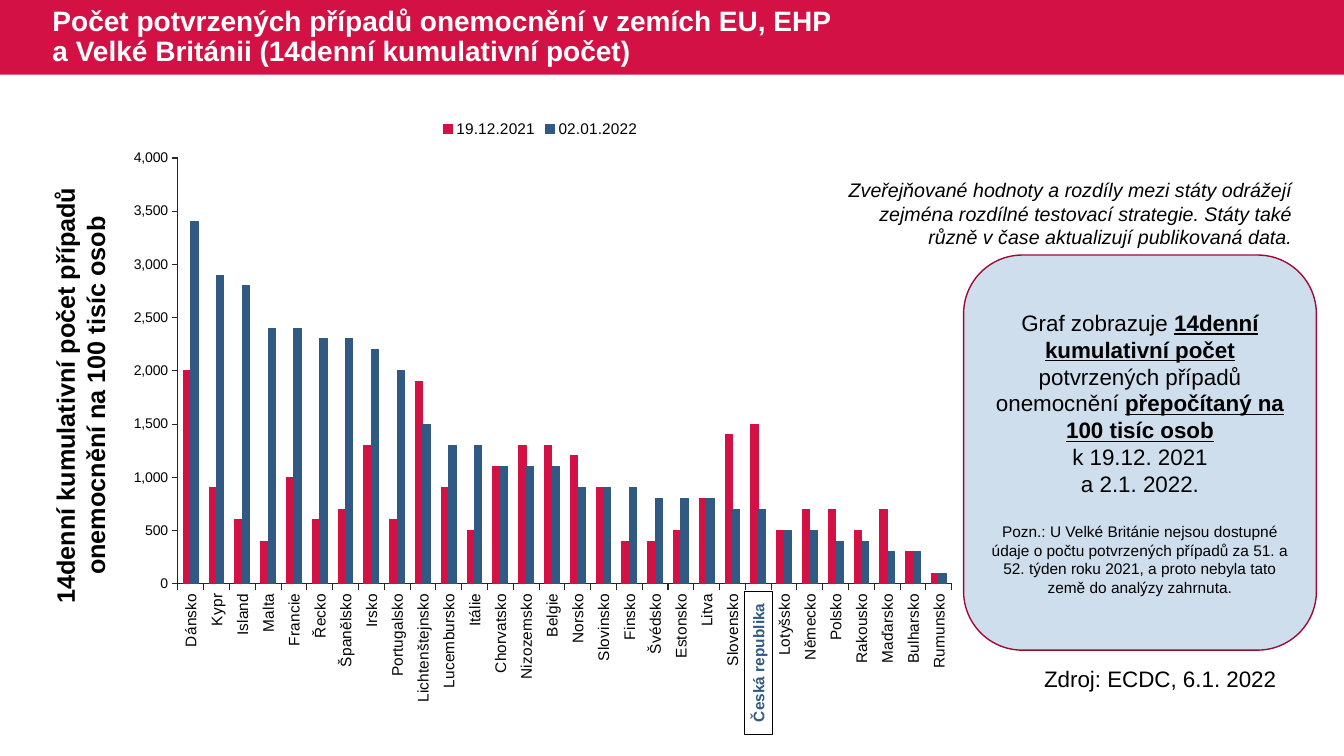
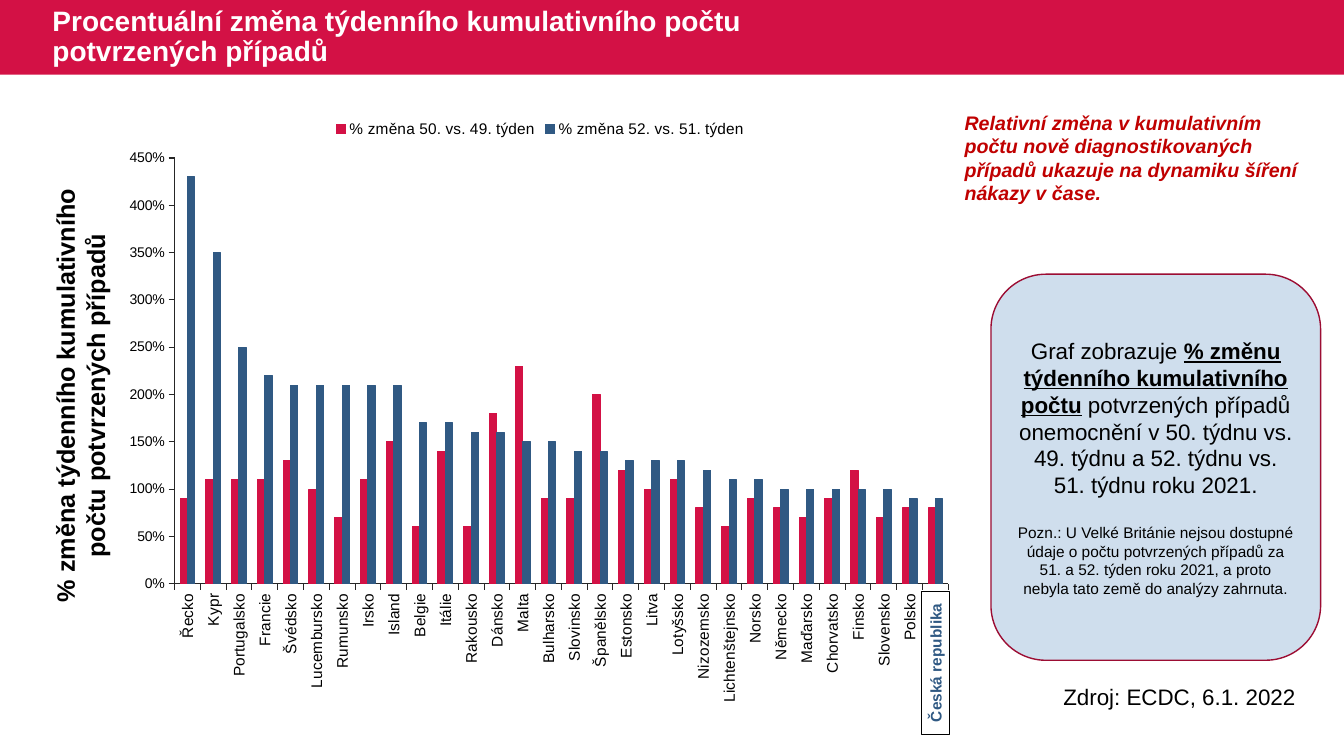
"""Build two slides comparing case counts across European countries."""
from dataclasses import dataclass

from lxml.etree import SubElement
from pptx import Presentation
from pptx.chart.data import CategoryChartData
from pptx.dml.color import RGBColor as Rgb
from pptx.enum.chart import XL_CHART_TYPE as ChartType
from pptx.enum.chart import XL_LEGEND_POSITION as LegendPos
from pptx.enum.chart import XL_TICK_MARK as Tick
from pptx.enum.shapes import MSO_SHAPE as Preset
from pptx.enum.text import MSO_ANCHOR as Anchor
from pptx.enum.text import MSO_AUTO_SIZE as AutoSize
from pptx.enum.text import PP_ALIGN as Align
from pptx.oxml.ns import qn
from pptx.presentation import Presentation as Deck
from pptx.shapes.autoshape import Shape
from pptx.slide import Slide
from pptx.text.text import Font, TextFrame
from pptx.util import Inches, Pt

WIDTH, HEIGHT = Inches(13.33), Inches(7.5)
HIGHLIGHT = "Česká republika"
SOURCE = "Zdroj: ECDC, 6.1. 2022"
PLOT_TOP, PLOT_WIDTH, PLOT_HEIGHT = 8.2, 91.4, 71


@dataclass(frozen=True)
class Theme:
    """Colours and type sizes of the deck."""

    font: str = "Arial"
    crimson: str = "D31145"
    blue: str = "305983"
    panel: str = "CFDEED"
    panel_edge: str = "9C0D33"
    warning: str = "C00000"
    axis: str = "262626"
    chart_text: str = "404040"
    black: str = "000000"
    white: str = "FFFFFF"
    title: int = 20
    axis_title: int = 18
    body: int = 16
    note: int = 14
    small: int = 11
    tick: int = 10


THEME = Theme()


@dataclass(frozen=True)
class Area:
    """Rectangle in percent of the slide's width and height."""

    left: float
    top: float
    width: float
    height: float

    def emu(self) -> tuple[int, int, int, int]:
        """Return left, top, width and height in slide units."""
        return (round(WIDTH * self.left / 100), round(HEIGHT * self.top / 100),
                round(WIDTH * self.width / 100), round(HEIGHT * self.height / 100))


@dataclass(frozen=True)
class Run:
    """Piece of text, optionally bold and underlined."""

    text: str
    strong: bool = False


@dataclass(frozen=True)
class Para:
    """Paragraph with its own type size and space before."""

    runs: tuple[Run, ...]
    size: int = THEME.body
    before: int = 0


@dataclass(frozen=True)
class Series:
    """Named column series with its colour."""

    name: str
    color: str
    values: tuple[float, ...]


@dataclass(frozen=True)
class Comparison:
    """Content of one slide."""

    title: str
    axis_title: str
    countries: tuple[str, ...]
    series: tuple[Series, ...]
    number_format: str
    maximum: float
    step: float
    plot_left: float
    panel: Area
    explanation: tuple[Para, ...]
    source: Area
    remark: str
    remark_area: Area
    remark_color: str
    remark_bold: bool
    remark_align: Align


BAND = Area(0, 0, 100, 9.87)
TITLE = Area(3.15, 0, 61.2, 9.87)
CHART = Area(8.7, 14.4, 63, 79.33)
AXIS_TITLE = Area(-10.95, 47.6, 33.9, 9.47)
BADGE = Area(0, 85.8, 10.65, 3.73)
FOOTNOTE = Para((Run(
    "Pozn.: U Velké Británie nejsou dostupné údaje o počtu potvrzených případů za 51. "
    "a 52. týden roku 2021, a proto nebyla tato země do analýzy zahrnuta."),),
    THEME.small, 18)

COMPARISONS = (
    Comparison(
        "Počet potvrzených případů onemocnění v zemích EU, EHP\n"
        "a Velké Británii (14denní kumulativní počet)",
        "14denní kumulativní počet případů onemocnění na 100 tisíc osob",
        ("Dánsko", "Kypr", "Island", "Malta", "Francie", "Řecko", "Španělsko", "Irsko",
         "Portugalsko", "Lichtenštejnsko", "Lucembursko", "Itálie", "Chorvatsko",
         "Nizozemsko", "Belgie", "Norsko", "Slovinsko", "Finsko", "Švédsko", "Estonsko",
         "Litva", "Slovensko", HIGHLIGHT, "Lotyšsko", "Německo", "Polsko", "Rakousko",
         "Maďarsko", "Bulharsko", "Rumunsko"),
        (Series("19.12.2021", THEME.crimson,
                (2000, 900, 600, 400, 1000, 600, 700, 1300, 600, 1900, 900, 500, 1100, 1300,
                 1300, 1200, 900, 400, 400, 500, 800, 1400, 1500, 500, 700, 700, 500, 700,
                 300, 100)),
         Series("02.01.2022", THEME.blue,
                (3400, 2900, 2800, 2400, 2400, 2300, 2300, 2200, 2000, 1500, 1300, 1300,
                 1100, 1100, 1100, 900, 900, 900, 800, 800, 800, 700, 700, 500, 500, 400,
                 400, 300, 300, 100))),
        "#,##0", 4000, 500, 7.2,
        Area(71.7, 33.73, 26.25, 52.27),
        (Para((Run("Graf zobrazuje "), Run("14denní kumulativní počet ", True),
               Run("potvrzených případů onemocnění "),
               Run("přepočítaný na 100 tisíc osob", True))),
         Para((Run("k 19.12. 2021"),)), Para((Run("a 2.1. 2022."),)), FOOTNOTE),
        Area(76.95, 87.33, 21.5, 4.93),
        "Zveřejňované hodnoty a rozdíly mezi státy odrážejí zejména rozdílné testovací "
        "strategie. Státy také různě v čase aktualizují publikovaná data.",
        Area(61.8, 22.93, 35.1, 10.8), THEME.black, False, Align.RIGHT),
    Comparison(
        "Procentuální změna týdenního kumulativního počtu potvrzených případů",
        "% změna týdenního kumulativního počtu potvrzených případů",
        ("Řecko", "Kypr", "Portugalsko", "Francie", "Švédsko", "Lucembursko", "Rumunsko",
         "Irsko", "Island", "Belgie", "Itálie", "Rakousko", "Dánsko", "Malta", "Bulharsko",
         "Slovinsko", "Španělsko", "Estonsko", "Litva", "Lotyšsko", "Nizozemsko",
         "Lichtenštejnsko", "Norsko", "Německo", "Maďarsko", "Chorvatsko", "Finsko",
         "Slovensko", "Polsko", HIGHLIGHT),
        (Series("% změna 50. vs. 49. týden", THEME.crimson,
                (0.9, 1.1, 1.1, 1.1, 1.3, 1, 0.7, 1.1, 1.5, 0.6, 1.4, 0.6, 1.8, 2.3, 0.9,
                 0.9, 2, 1.2, 1, 1.1, 0.8, 0.6, 0.9, 0.8, 0.7, 0.9, 1.2, 0.7, 0.8, 0.8)),
         Series("% změna 52. vs. 51. týden", THEME.blue,
                (4.3, 3.5, 2.5, 2.2, 2.1, 2.1, 2.1, 2.1, 2.1, 1.7, 1.7, 1.6, 1.6, 1.5, 1.5,
                 1.4, 1.4, 1.3, 1.3, 1.3, 1.2, 1.1, 1.1, 1, 1, 1, 1, 1, 0.9, 0.9))),
        "0%", 4.5, 0.5, 6.8,
        Area(73.73, 36.27, 24.53, 51.07),
        (Para((Run("Graf zobrazuje "), Run("% změnu týdenního kumulativního počtu", True),
               Run(" potvrzených případů onemocnění v 50. týdnu vs. 49. týdnu "
                   "a 52. týdnu vs. 51. týdnu roku 2021."))), FOOTNOTE),
        Area(78.38, 89.73, 21.5, 4.93),
        "Relativní změna v kumulativním počtu nově diagnostikovaných případů ukazuje na "
        "dynamiku šíření nákazy v čase.",
        Area(71.03, 14, 27.53, 13.87), THEME.warning, True, Align.LEFT),
)


def style(font: Font, size: int, color: str, bold: bool = False, italic: bool = False) -> None:
    """Set typeface, size, colour and emphasis."""
    font.name, font.size = THEME.font, Pt(size)
    font.bold, font.italic = bold, italic
    font.color.rgb = Rgb.from_string(color)


def write(frame: TextFrame, paras: tuple[Para, ...], *, color: str = THEME.black,
          bold: bool = False, italic: bool = False, align: Align = Align.LEFT,
          anchor: Anchor = Anchor.TOP, fit: AutoSize = AutoSize.NONE,
          spacing: float = 1.0) -> None:
    """Fill a text frame with formatted paragraphs."""
    frame.word_wrap, frame.auto_size, frame.vertical_anchor = True, fit, anchor
    for index, para in enumerate(paras):
        paragraph = frame.add_paragraph() if index else frame.paragraphs[0]
        paragraph.alignment, paragraph.line_spacing = align, spacing
        paragraph.space_before = Pt(para.before)
        for piece in para.runs:
            for number, line in enumerate(piece.text.split("\n")):
                if number:
                    paragraph.add_line_break()
                run = paragraph.add_run()
                run.text = line
                style(run.font, para.size, color, bold or piece.strong, italic)
                run.font.underline = piece.strong


def add_label(slide: Slide, area: Area, text: str, size: int, rotation: int = 0,
              **text_format) -> None:
    """Add a text box that grows with its text."""
    label = slide.shapes.add_textbox(*area.emu())
    label.rotation = rotation
    write(label.text_frame, (Para((Run(text),), size),),
          fit=AutoSize.SHAPE_TO_FIT_TEXT, **text_format)


def add_block(slide: Slide, preset: Preset, area: Area, fill: str,
              edge: str | None = None) -> Shape:
    """Add a filled shape with an optional outline."""
    block = slide.shapes.add_shape(preset, *area.emu())
    block.shadow.inherit = False
    block.fill.solid()
    block.fill.fore_color.rgb = Rgb.from_string(fill)
    if edge:
        block.line.color.rgb = Rgb.from_string(edge)
        block.line.width = Pt(1)
    else:
        block.line.fill.background()
    return block


def add_columns(slide: Slide, content: Comparison) -> None:
    """Add the clustered column chart."""
    data = CategoryChartData(number_format=content.number_format)
    data.categories = content.countries
    for series in content.series:
        data.add_series(series.name, series.values)
    chart = slide.shapes.add_chart(ChartType.COLUMN_CLUSTERED, *CHART.emu(), data).chart
    chart.has_title = False
    style(chart.font, THEME.tick, THEME.chart_text)
    chart.has_legend = True
    chart.legend.position = LegendPos.TOP
    chart.legend.include_in_layout = False
    style(chart.legend.font, THEME.small, THEME.black)

    columns = chart.plots[0]
    columns.gap_width, columns.overlap, columns.vary_by_categories = 150, 0, False
    for drawn, series in zip(columns.series, content.series):
        color = Rgb.from_string(series.color)
        drawn.format.fill.solid()
        drawn.format.fill.fore_color.rgb = color
        drawn.format.line.color.rgb = color
        drawn.format.line.width = Pt(0.75)

    for axis, size in ((chart.category_axis, THEME.small), (chart.value_axis, THEME.tick)):
        axis.has_major_gridlines = False
        axis.major_tick_mark, axis.minor_tick_mark = Tick.OUTSIDE, Tick.NONE
        axis.format.line.color.rgb = Rgb.from_string(THEME.axis)
        axis.format.line.width = Pt(0.75)
        style(axis.tick_labels.font, size, THEME.black)
    scale = chart.value_axis
    scale.minimum_scale, scale.maximum_scale = 0, content.maximum
    scale.major_unit = content.step
    scale.tick_labels.number_format = content.number_format
    scale.tick_labels.number_format_is_linked = False
    turned = chart.element.xpath(".//c:catAx/c:txPr/a:bodyPr")[0]
    turned.set("rot", "-5400000")
    turned.set("vert", "horz")
    place_plot(chart.element.xpath(".//c:plotArea")[0], content.plot_left)


def place_plot(plot_area, left: float) -> None:
    """Fix the inner plot area in percent of the chart."""
    for automatic in plot_area.findall(qn("c:layout")):
        plot_area.remove(automatic)
    layout = SubElement(plot_area, qn("c:layout"))
    plot_area.insert(0, layout)
    manual = SubElement(layout, qn("c:manualLayout"))
    for tag, value in (("layoutTarget", "inner"), ("xMode", "edge"), ("yMode", "edge"),
                       ("x", left / 100), ("y", PLOT_TOP / 100),
                       ("w", PLOT_WIDTH / 100), ("h", PLOT_HEIGHT / 100)):
        SubElement(manual, qn(f"c:{tag}")).set("val", str(value))


def add_badge(slide: Slide, content: Comparison) -> None:
    """Frame the highlighted country under its columns."""
    share = (content.countries.index(HIGHLIGHT) + 0.5) / len(content.countries)
    center = CHART.left + CHART.width * (content.plot_left + PLOT_WIDTH * share) / 100
    area = Area(center - BADGE.width / 2, BADGE.top, BADGE.width, BADGE.height)
    badge = add_block(slide, Preset.RECTANGLE, area, THEME.white, THEME.black)
    badge.rotation = 270
    write(badge.text_frame, (Para((Run(HIGHLIGHT),), THEME.small),), color=THEME.blue,
          bold=True, align=Align.CENTER, anchor=Anchor.MIDDLE)


def add_master_band(deck: Deck, slide: Slide) -> None:
    """Put the title band behind everything on the slide master."""
    band = add_block(slide, Preset.RECTANGLE, BAND, THEME.crimson).element
    band.nvSpPr.cNvPr.set("id", "99")
    deck.slide_master.element.cSld.spTree.insert(2, band)


def add_comparison(deck: Deck, content: Comparison) -> Slide:
    """Add one slide with chart, panel and remarks."""
    slide = deck.slides.add_slide(deck.slide_layouts[5])
    title = slide.shapes.title
    title.left, title.top, title.width, title.height = TITLE.emu()
    write(title.text_frame, (Para((Run(content.title),), THEME.title),), color=THEME.white,
          bold=True, anchor=Anchor.MIDDLE, spacing=0.9)
    add_columns(slide, content)
    add_label(slide, AXIS_TITLE, content.axis_title, THEME.axis_title, 270,
              bold=True, align=Align.CENTER)
    panel = add_block(slide, Preset.ROUNDED_RECTANGLE, content.panel, THEME.panel,
                      THEME.panel_edge)
    write(panel.text_frame, content.explanation, align=Align.CENTER, anchor=Anchor.MIDDLE)
    add_label(slide, content.source, SOURCE, THEME.body)
    add_badge(slide, content)
    add_label(slide, content.remark_area, content.remark, THEME.note, italic=True,
              color=content.remark_color, bold=content.remark_bold,
              align=content.remark_align)
    return slide


def main() -> None:
    """Build and save the deck."""
    deck = Presentation()
    deck.slide_width, deck.slide_height = WIDTH, HEIGHT
    slides = [add_comparison(deck, content) for content in COMPARISONS]
    add_master_band(deck, slides[0])
    deck.save("out.pptx")


if __name__ == "__main__":
    main()
